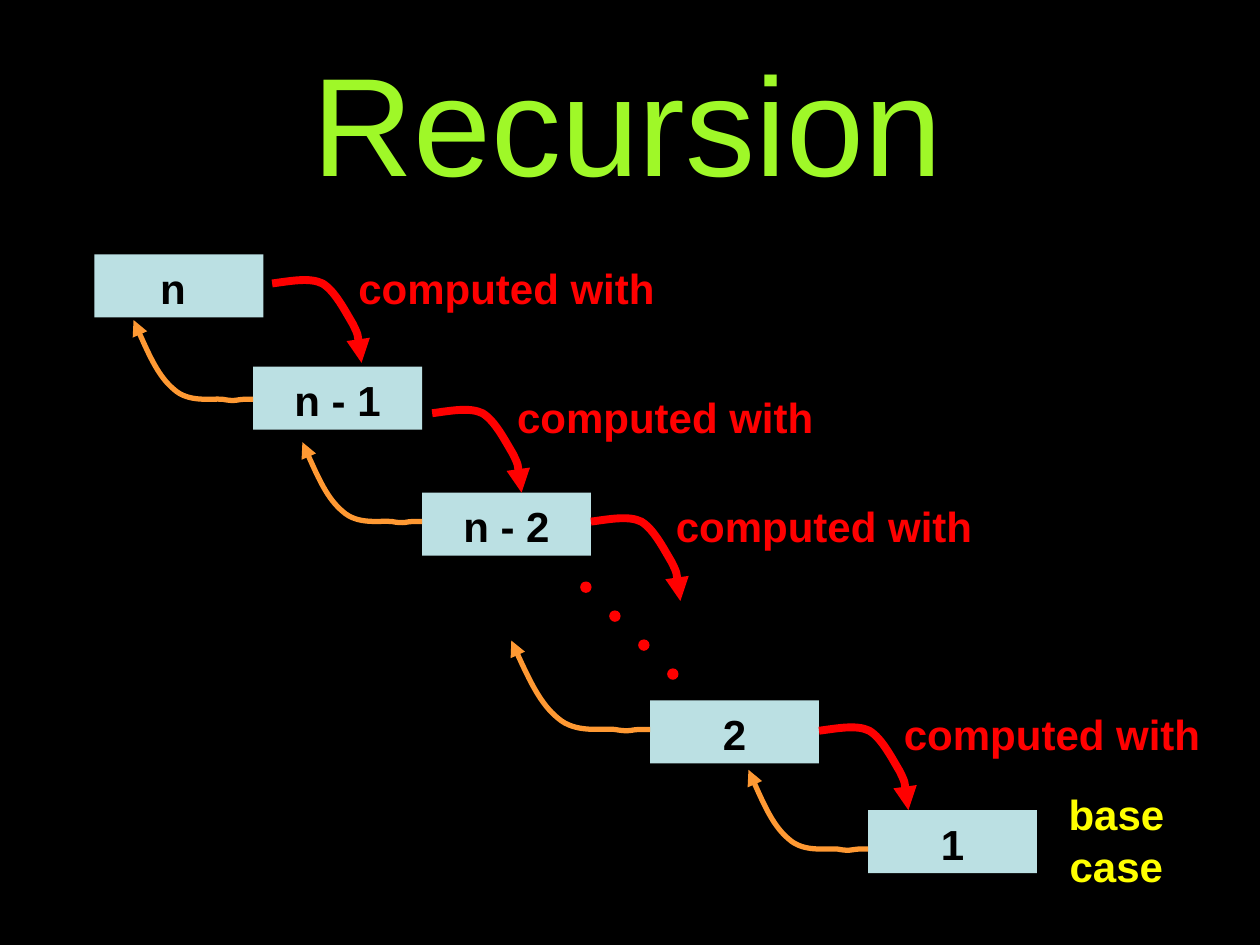
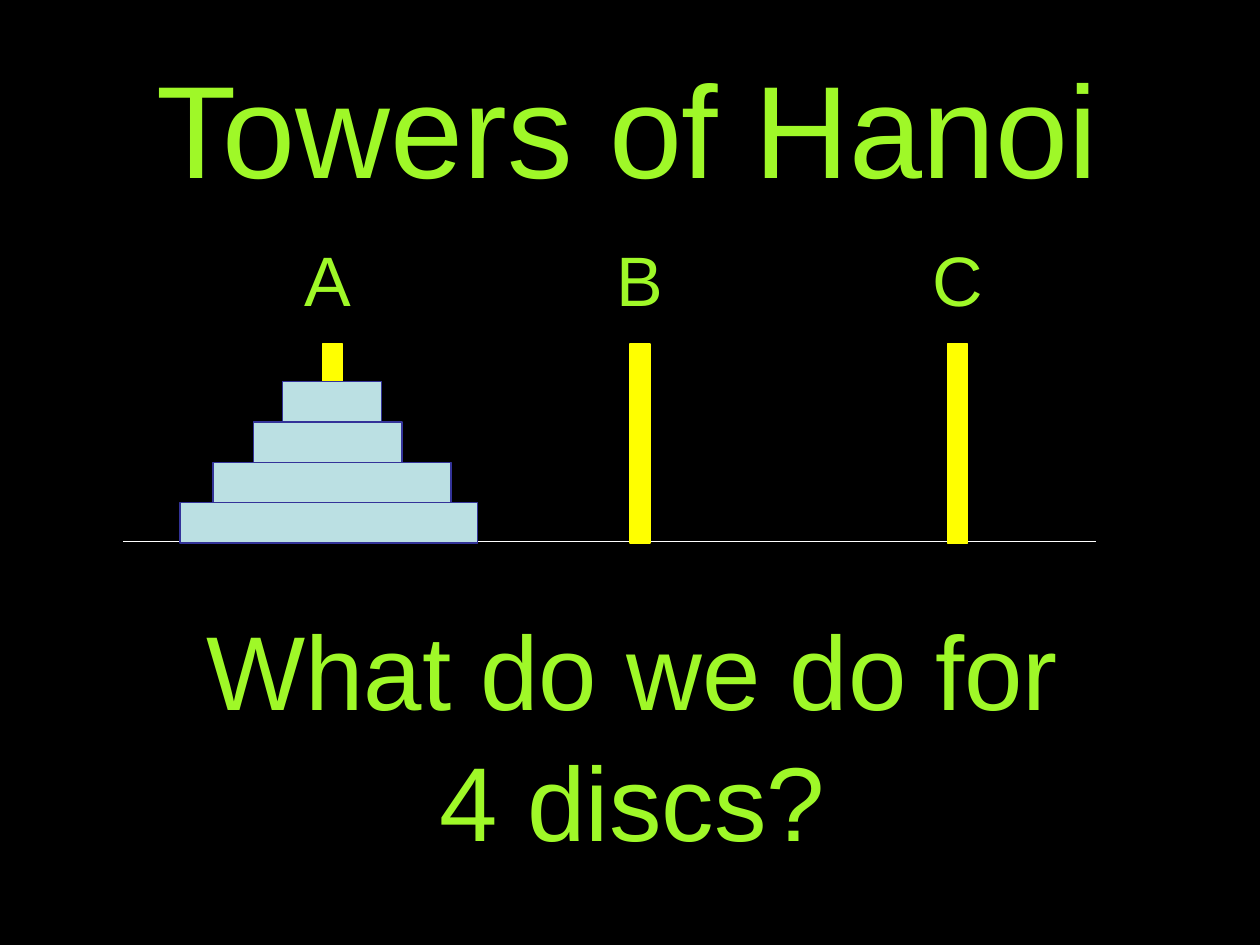
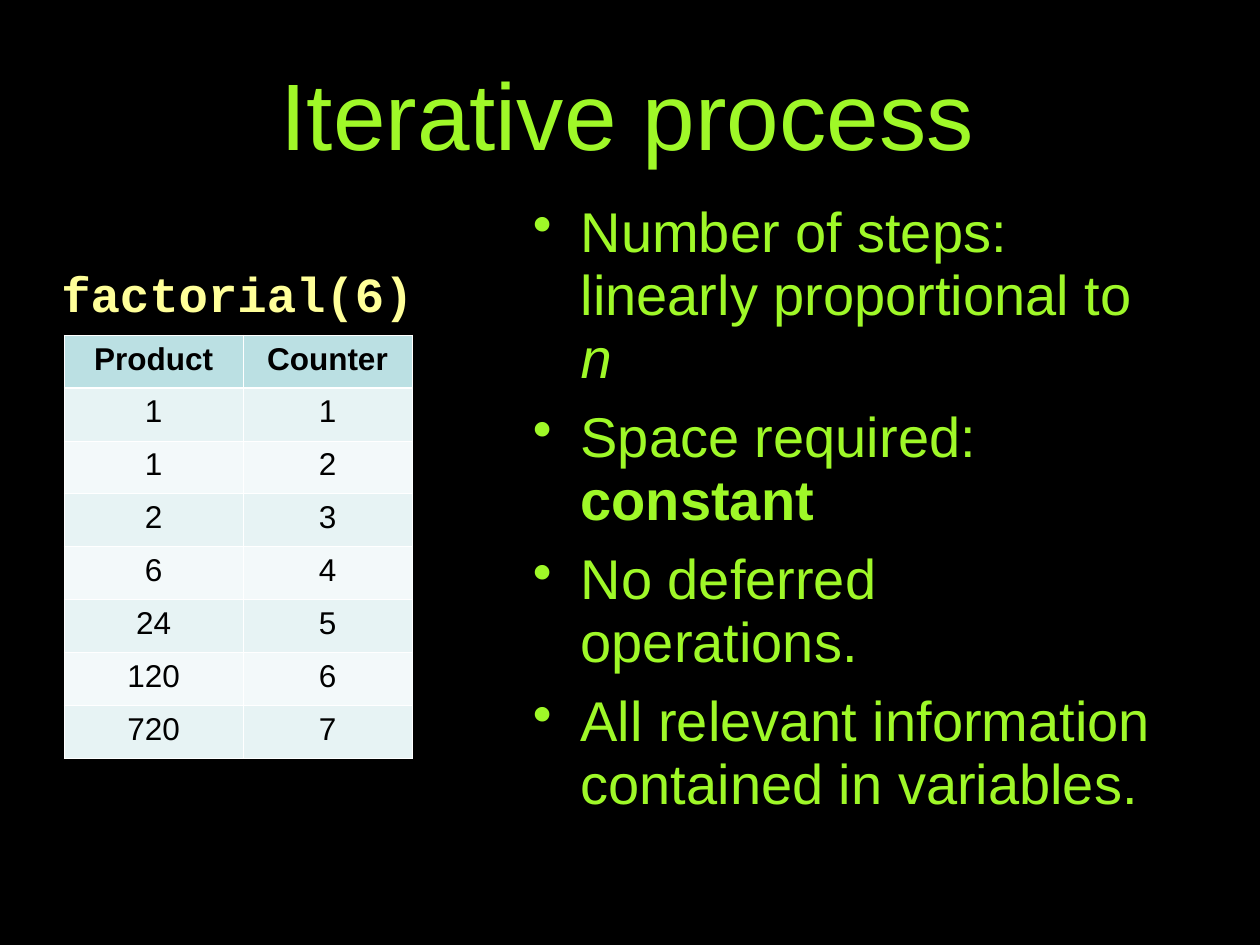
"""Build three slides on recursion, the Towers of Hanoi and iterative processes."""
from dataclasses import dataclass

from lxml.etree import SubElement
from pptx import Presentation
from pptx.dml.color import RGBColor
from pptx.enum.shapes import MSO_CONNECTOR, MSO_SHAPE as SHAPE
from pptx.enum.text import MSO_ANCHOR as ANCHOR, MSO_AUTO_SIZE as AUTO_SIZE, PP_ALIGN as ALIGN
from pptx.oxml import parse_xml
from pptx.oxml.ns import nsdecls, qn
from pptx.util import Inches, Pt

rgb = RGBColor.from_string


@dataclass(frozen=True)
class Theme:
    black: RGBColor = rgb("000000")
    white: RGBColor = rgb("FFFFFF")
    green: RGBColor = rgb("9FF828")
    pale_blue: RGBColor = rgb("BBE0E3")
    navy: RGBColor = rgb("333399")
    red: RGBColor = rgb("FF0000")
    orange: RGBColor = rgb("FF9933")
    yellow: RGBColor = rgb("FFFF00")
    cream: RGBColor = rgb("FFFF99")
    bands: tuple = (rgb("E7F3F4"), rgb("F3F9FA"))
    font: str = "Arial"
    code_font: str = "Courier New"
    table_size: int = 18
    step_size: int = 24
    code_size: int = 28
    bullet_size: int = 32
    peg_size: int = 40
    question_size: int = 60
    line_spacing: float = 1.04
    bullet_spacing: float = 0.94


theme = Theme()


def add_box(slide, place, text="", size=theme.step_size, color=theme.black, bold=True,
            wrap=True, kind=None, fill=None, line=None, font=theme.font):
    """Add a text box, or a filled shape when a kind is given."""
    place = [Inches(value) for value in place]
    if kind is None:
        box = slide.shapes.add_textbox(*place)
    else:
        box = slide.shapes.add_shape(kind, *place)
        box.shadow.inherit = False
        box.fill.solid()
        box.fill.fore_color.rgb = fill
        if line is None:
            box.line.fill.background()
        else:
            box.line.color.rgb = line
            box.line.width = Pt(0.75)
    if text:
        box.text_frame.text = text
        box.text_frame.word_wrap = wrap
        box.text_frame.vertical_anchor = ANCHOR.TOP
        for para in box.text_frame.paragraphs:
            para.alignment = ALIGN.CENTER
            para.line_spacing = theme.line_spacing
            for span in para.runs:
                span.font.name = font
                span.font.size = Pt(size)
                span.font.bold = bold
                span.font.color.rgb = color
    return box


def add_curve(slide, start, offsets, color, width, scale=(1, 1)):
    """Draw a curved arrow; each three offsets from the start make one Bezier segment."""
    points = [(Inches(start[0] + x * scale[0]), Inches(start[1] + y * scale[1]))
              for x, y in offsets]
    builder = slide.shapes.build_freeform(Inches(start[0]), Inches(start[1]))
    builder.add_line_segments(points, close=False)
    curve = builder.convert_to_shape()
    curve.shadow.inherit = False
    curve.fill.background()
    curve.line.color.rgb = color
    curve.line.width = Pt(width)
    outline = next(curve.element.iter(qn("a:path")))
    segments = outline.findall(qn("a:lnTo"))
    for first in range(0, len(segments), 3):
        bezier = SubElement(outline, qn("a:cubicBezTo"))
        for segment in segments[first:first + 3]:
            bezier.append(segment[0])
            outline.remove(segment)
    SubElement(curve.element.spPr.find(qn("a:ln")), qn("a:tailEnd"), type="triangle")


deck = Presentation()
deck.slide_width, deck.slide_height = Inches(10), Inches(7.5)
background = deck.slide_master.background.fill
background.solid()
background.fore_color.rgb = theme.black

titles = [("Recursion", 80, 1.62), ("Towers of Hanoi", 75, 1.71), ("Iterative process", 54, 1.52)]
for text, size, height in titles:
    page = deck.slides.add_slide(deck.slide_layouts[5])
    title = page.shapes.title
    title.left, title.top, title.width, title.height = map(Inches, (0.5, 0.07, 9, height))
    frame = title.text_frame
    frame.text = text
    frame.word_wrap = True
    frame.auto_size = AUTO_SIZE.NONE
    frame.vertical_anchor = ANCHOR.MIDDLE
    frame.margin_left, frame.margin_top = Inches(0.06), Inches(0.16)
    frame.margin_right, frame.margin_bottom = Inches(0.1), Inches(0.06)
    para = frame.paragraphs[0]
    para.alignment = ALIGN.CENTER
    para.line_spacing = theme.line_spacing
    span = para.runs[0]
    span.font.name = theme.font
    span.font.size = Pt(size)
    span.font.color.rgb = theme.green

recursion, hanoi, iteration = deck.slides

steps = [("n ", 0.75, 2.02), ("n - 1", 2.01, 2.91), ("n - 2", 3.35, 3.91),
         ("2", 5.16, 5.56), ("1", 6.89, 6.43)]
for text, left, top in steps:
    add_box(recursion, (left, top, 1.34, 0.5), text, kind=SHAPE.RECTANGLE, fill=theme.pale_blue)

call_curve = [(0.15, -0.02), (0.3, -0.05), (0.4, 0), (0.5, 0.06), (0.58, 0.22), (0.64, 0.32),
              (0.69, 0.42), (0.7, 0.53), (0.71, 0.63)]
calls = [((2.16, 2.25), (2.72, 2.02)), ((3.43, 3.28), (3.98, 3.04)),
         ((4.69, 4.14), (5.24, 3.91)), ((6.5, 5.8), (7.05, 5.56))]
for start, label in calls:
    add_curve(recursion, start, call_curve, theme.red, 4.5)
    add_box(recursion, (*label, 2.6, 0.5), "computed with", color=theme.red)

for index in range(4):
    add_box(recursion, (4.61 + 0.23 * index, 4.62 + 0.23 * index, 0.08, 0.08),
            kind=SHAPE.OVAL, fill=theme.red, line=theme.red)

add_box(recursion, (8.07, 6.19, 1.58, 0.9), "base\vcase", color=theme.yellow)

return_curve = [(-0.02, 0), (-0.04, 0), (-0.08, 0), (-0.12, 0), (-0.14, 0.02), (-0.24, 0),
                (-0.33, -0.01), (-0.51, 0.03), (-0.63, -0.08), (-0.75, -0.18),
                (-0.85, -0.4), (-0.95, -0.63)]
returns = [((6.89, 6.74), (1, 1)), ((5.16, 5.79), (1.16, 1.12)),
           ((3.35, 4.14), (1, 1)), ((2.01, 3.17), (1, 1))]
for start, scale in returns:
    add_curve(recursion, start, return_curve, theme.orange, 3, scale)

ground = hanoi.shapes.add_connector(
    MSO_CONNECTOR.STRAIGHT, Inches(0.98), Inches(4.3), Inches(8.7), Inches(4.3))
ground.line.color.rgb = theme.white
ground.line.width = Pt(0.75)
SubElement(ground.element.spPr, qn("a:effectLst"))

pegs = [("A", 2.56, 2.32, 0.57), ("B", 5, 4.79, 0.57), ("C", 7.52, 7.3, 0.6)]
for name, left, label_left, label_width in pegs:
    add_box(hanoi, (left, 2.73, 0.16, 1.58), kind=SHAPE.RECTANGLE,
            fill=theme.yellow, line=theme.yellow)
    add_box(hanoi, (label_left, 1.8, label_width, 0.77), name, theme.peg_size, theme.green,
            bold=False, wrap=False)

disc_height = 0.32
discs = [(1.43, 2.36), (1.69, 1.89), (2.01, 1.18), (2.24, 0.79)]
for level, (left, width) in enumerate(discs):
    add_box(hanoi, (left, 3.99 - disc_height * level, width, disc_height),
            kind=SHAPE.RECTANGLE, fill=theme.pale_blue, line=theme.navy)

add_box(hanoi, (1.54, 4.72, 6.96, 2.1), "What do we do for\n4 discs?", theme.question_size,
        theme.green, bold=False, wrap=False)

bullets = [
    [("Number of steps: linearly proportional to ", ""), ("n", "italic")],
    [("Space required: ", ""), ("constant", "bold")],
    [("No deferred operations.", "")],
    [("All relevant information contained in variables.", "")],
]
frame = add_box(iteration, (4.13, 1.55, 5.12, 5.15)).text_frame
frame.word_wrap = True
for index, spans in enumerate(bullets):
    para = frame.add_paragraph() if index else frame.paragraphs[0]
    properties = para._p.get_or_add_pPr()
    properties.set("marL", str(Inches(0.38)))
    properties.set("indent", str(Inches(-0.38)))
    bullet_color = SubElement(properties, qn("a:buClr"))
    SubElement(bullet_color, qn("a:srgbClr"), val=str(theme.green))
    SubElement(properties, qn("a:buChar"), char="•")
    para.line_spacing = theme.bullet_spacing
    if index:
        para.space_before = Pt(9)
    for text, style in spans:
        span = para.add_run()
        span.text = text
        span.font.name = theme.font
        span.font.size = Pt(theme.bullet_size)
        span.font.color.rgb = theme.green
        span.font.bold = style == "bold"
        span.font.italic = style == "italic"

call = add_box(iteration, (0.27, 1.94, 3.23, 0.47), "factorial(6)", theme.code_size, theme.cream,
               font=theme.code_font)
call.text_frame.margin_top = Inches(0.13)

rows = [("Product", "Counter"), (1, 1), (1, 2), (2, 3), (6, 4), (24, 5), (120, 6), (720, 7)]
table = iteration.shapes.add_table(
    len(rows), 2, Inches(0.51), Inches(2.66), Inches(2.76), Inches(3.38)).table
table.columns[0].width, table.columns[1].width = Inches(1.42), Inches(1.34)
for row_index, values in enumerate(rows):
    table.rows[row_index].height = Inches(0.42)
    is_header = row_index == 0
    for column_index, value in enumerate(values):
        cell = table.cell(row_index, column_index)
        cell.text = str(value)
        para = cell.text_frame.paragraphs[0]
        para.alignment = ALIGN.CENTER
        span = para.runs[0]
        span.font.name = theme.font
        span.font.size = Pt(theme.table_size)
        span.font.bold = is_header
        span.font.color.rgb = theme.black
        cell.fill.solid()
        cell.fill.fore_color.rgb = theme.pale_blue if is_header else theme.bands[(row_index - 1) % 2]
        for position, side in enumerate("LRTB"):
            heavy = (row_index, side) in ((0, "B"), (1, "T"))
            border = parse_xml(
                f'<a:ln{side} {nsdecls("a")} w="{Pt(1.47 if heavy else 0.45)}"><a:solidFill>'
                f'<a:srgbClr val="{theme.white}"/></a:solidFill></a:ln{side}>')
            cell._tc.get_or_add_tcPr().insert(position, border)

deck.save("out.pptx")
